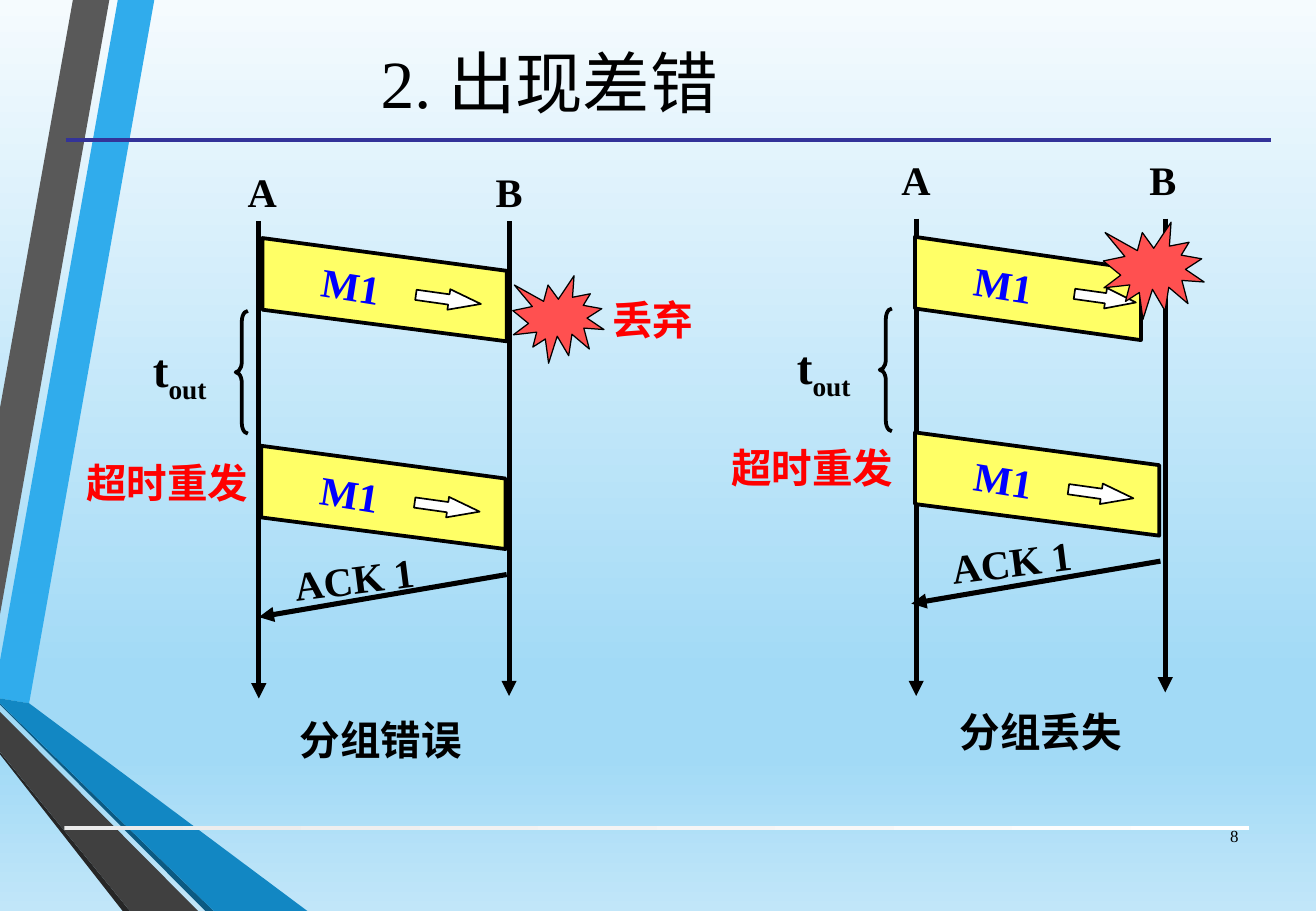
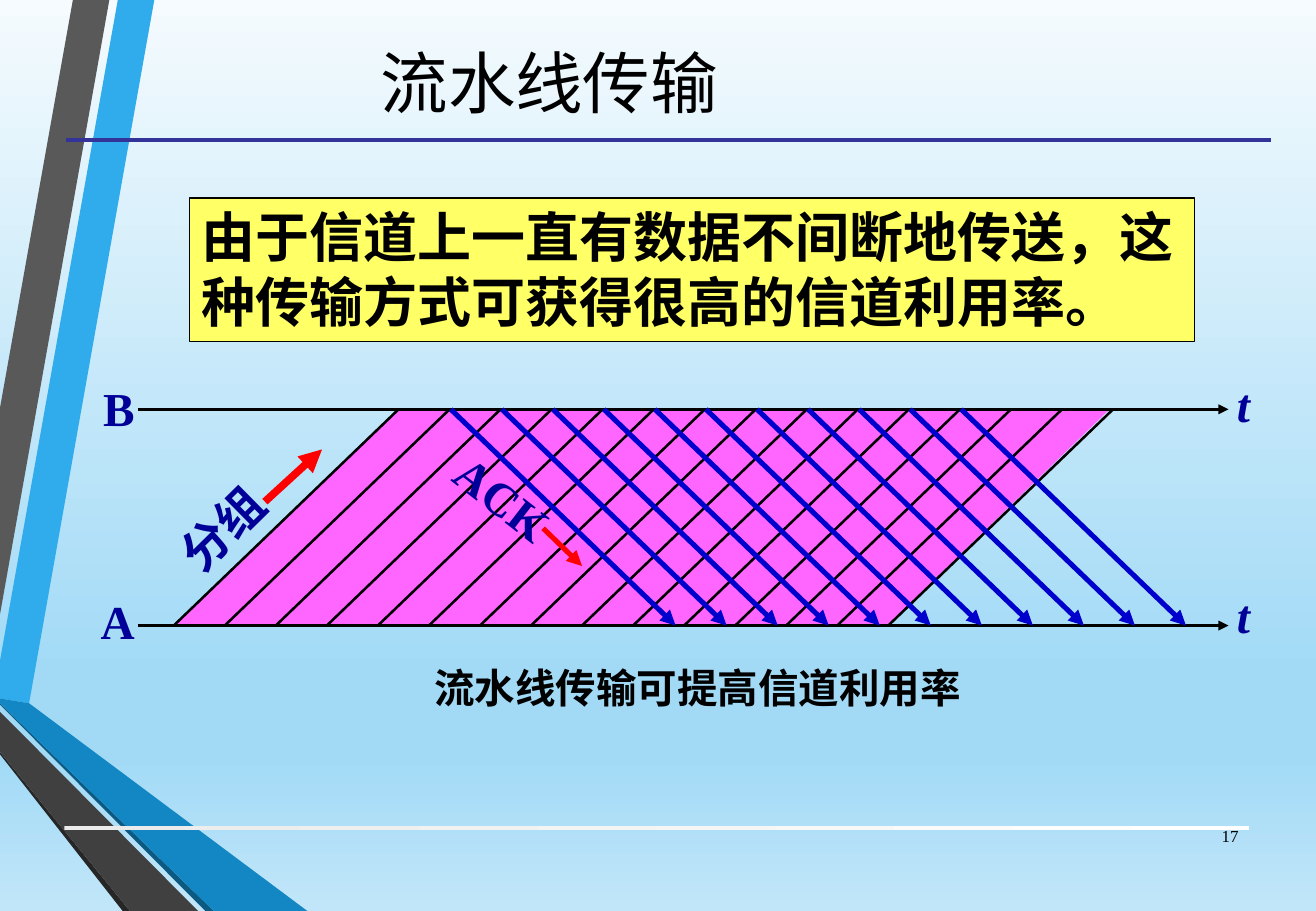
from copy import deepcopy
from pptx import Presentation
from pptx.dml.color import RGBColor
from pptx.enum.shapes import MSO_CONNECTOR, MSO_SHAPE
from pptx.enum.text import MSO_ANCHOR, MSO_AUTO_SIZE, PP_ALIGN
from pptx.oxml.ns import qn
from pptx.oxml.xmlchemy import OxmlElement
from pptx.util import Inches, Pt

FONT = "Times New Roman"
BLACK = RGBColor(0x00, 0x00, 0x00)
WHITE = RGBColor(0xFF, 0xFF, 0xFF)
PALE_GREY = RGBColor(0xEB, 0xEB, 0xEB)
RED = RGBColor(0xFF, 0x00, 0x00)
CORAL = RGBColor(0xFF, 0x50, 0x50)
YELLOW = RGBColor(0xFF, 0xFF, 0x66)
PINK = RGBColor(0xFF, 0x66, 0xFF)
BLUE = RGBColor(0x00, 0x00, 0xFF)
ACK_BLUE = RGBColor(0x00, 0x00, 0xCC)
NAVY = RGBColor(0x00, 0x00, 0x99)
RULE_BLUE = RGBColor(0x33, 0x33, 0x99)
SKY_STOPS = [(0, RGBColor(0xF5, 0xFB, 0xFE)), (0.74, RGBColor(0xA2, 0xDA, 0xF6)),
             (0.83, RGBColor(0xA2, 0xDA, 0xF6)), (1, RGBColor(0xC1, 0xE6, 0xF9))]
BANDS = [
    (RGBColor(0x30, 0xAC, 0xEC), [(0, 5.44), (0, 5.75), (0.24, 5.79), (1.27, 0), (0.97, 0)]),
    (RGBColor(0x59, 0x59, 0x59), [(0.9, 0), (0.6, 0), (0, 3.36), (0, 5.06)]),
    (RGBColor(0x26, 0x26, 0x26), [(0, 6.19), (0, 6.21), (1.01, 7.5), (1.07, 7.5)]),
    (RGBColor(0x0C, 0x5A, 0x82), [(0, 5.79), (0, 5.8), (1.69, 7.5), (1.76, 7.5)]),
    (RGBColor(0x12, 0x87, 0xC3), [(0, 5.79), (1.76, 7.5), (2.53, 7.5), (0.24, 5.79), (0, 5.75)]),
    (RGBColor(0x40, 0x40, 0x40), [(0, 6.19), (1.07, 7.5), (1.63, 7.5), (0, 5.86)]),
]


def draw(page, kind, place, fill=None, color=None, width=1, arrow=False):
    if kind == "line":
        ends = [Inches(value) for point in place for value in point]
        shape = page.shapes.add_connector(MSO_CONNECTOR.STRAIGHT, *ends)
    elif kind == "polygon":
        points = [(Inches(x), Inches(y)) for x, y in place]
        builder = page.shapes.build_freeform(*points[0])
        builder.add_line_segments(points[1:], close=True)
        shape = builder.convert_to_shape()
    else:
        shape = page.shapes.add_shape(kind, *[Inches(value) for value in place])
    if color is None:
        shape.line.fill.background()
    else:
        shape.line.color.rgb = color
        shape.line.width = Pt(width)
    if kind == "line":
        if arrow:
            tip = OxmlElement("a:tailEnd")
            tip.set("type", "triangle")
            shape.line._get_or_add_ln().append(tip)
        shape._element.spPr.append(OxmlElement("a:effectLst"))
        return shape
    shape.shadow.inherit = False
    if fill is None:
        shape.fill.background()
    else:
        shape.fill.solid()
        shape.fill.fore_color.rgb = fill
    return shape


def write(page, place, text, size=24, color=BLACK, bold=True, italic=False, turn=0,
          align=PP_ALIGN.LEFT, wrap=False, middle=False, subscript=""):
    box = page.shapes.add_textbox(*[Inches(value) for value in place])
    box.rotation = turn
    frame = box.text_frame
    frame.word_wrap = wrap
    if middle:
        frame.vertical_anchor = MSO_ANCHOR.MIDDLE
    else:
        frame.auto_size = MSO_AUTO_SIZE.SHAPE_TO_FIT_TEXT
    para = frame.paragraphs[0]
    para.alignment = align
    for part in filter(None, (text, subscript)):
        span = para.add_run()
        span.text = part
        span.font.name = FONT
        span.font.size = Pt(size)
        span.font.bold = bold
        span.font.italic = italic
        span.font.color.rgb = color
    if subscript:
        span.font._element.set("baseline", "-25000")
    return box


deck = Presentation()
deck.slide_width = Inches(10.83)
deck.slide_height = Inches(7.5)

sky = deck.slide_master.background.fill
sky.gradient()
sky.gradient_angle = 270
stop_list = deck.slide_master.element.find(".//" + qn("a:gsLst"))
for _ in SKY_STOPS[2:]:
    stop_list.append(deepcopy(stop_list[0]))
for stop, (position, color) in zip(sky.gradient_stops, SKY_STOPS):
    stop.position = position
    stop.color.rgb = color

pages = []
for title, number in [("2. 出现差错", "8"), ("流水线传输", "17")]:
    page = deck.slides.add_slide(deck.slide_layouts[6])
    for color, points in BANDS:
        draw(page, "polygon", points, color)
    bar = draw(page, MSO_SHAPE.RECTANGLE, (0.53, 6.8, 9.75, 0.03))
    bar.fill.gradient()
    bar.fill.gradient_angle = 0
    for stop, color in zip(bar.fill.gradient_stops, (PALE_GREY, WHITE)):
        stop.color.rgb = color
    draw(page, "line", [(0.54, 1.15), (10.46, 1.15)], color=RULE_BLUE, width=2.25)
    write(page, (0.43, 0.05, 8.18, 1.24), title, 40, bold=False,
          align=PP_ALIGN.CENTER, wrap=True, middle=True)
    write(page, (9.78, 6.68, 0.51, 0.4), number, 10, bold=False,
          align=PP_ALIGN.RIGHT, wrap=True, middle=True)
    pages.append(page)
errors, pipeline = pages

diagrams = [
    dict(top=1.82, stations=[("A", 2.13, 5.75, 1.94), ("B", 4.19, 5.73, 3.98)], label_top=1.33,
         packets=[(2.16, 1.96, 2.01, 1.26, 0.54), (2.15, 3.67, 2.01, 1.26, 0.54)],
         ack=[(4.17, 4.73), (2.13, 5.08)], ack_label=(2.32, 4.51), timer=(1.16, 2.56),
         retry=(0.61, 3.72), burst=(4.22, 2.27, 0.75, 0.72),
         caption="分组错误", caption_at=(2.37, 5.84)),
    dict(top=1.8, stations=[("A", 7.54, 5.73, 7.32), ("B", 9.59, 5.7, 9.36)], label_top=1.23,
         packets=[(7.53, 1.95, 1.86, 1.31, 0.51), (7.53, 3.56, 2.01, 1.26, 0.54)],
         ack=[(9.55, 4.62), (7.5, 4.97)], ack_label=(7.73, 4.37), timer=(6.46, 2.54),
         retry=(5.92, 3.6), burst=(9.08, 1.83, 0.83, 0.8),
         caption="分组丢失", caption_at=(7.8, 5.77)),
]
for diagram in diagrams:
    for name, x, bottom, label_left in diagram["stations"]:
        draw(errors, "line", [(x, diagram["top"]), (x, bottom)], color=BLACK, width=3, arrow=True)
        write(errors, (label_left, diagram["label_top"], 0.43, 0.5), name)
    for x, y, width, arrow_offset, arrow_width in diagram["packets"]:
        right = x + width
        draw(errors, "polygon", [(x, y), (right, y + 0.27), (right, y + 0.85), (x, y + 0.59)],
             YELLOW, BLACK, 2.25)
        arrow = draw(errors, MSO_SHAPE.RIGHT_ARROW,
                     (x + arrow_offset, y + 0.42, arrow_width, 0.17), WHITE, BLACK)
        arrow.rotation = 8
        arrow.adjustments[1] = arrow_width / 0.345
        write(errors, (x + 0.39, y + 0.14, 0.69, 0.5), "M1", color=BLUE, turn=9)
    draw(errors, "line", diagram["ack"], color=BLACK, width=3, arrow=True)
    write(errors, (*diagram["ack_label"], 1.21, 0.51), "ACK 1", turn=352.8)
    draw(errors, MSO_SHAPE.EXPLOSION1, diagram["burst"], CORAL, BLACK, 0.75)
    write(errors, (*diagram["retry"], 1.54, 0.5), "超时重发", color=RED)
    left, top = diagram["timer"]
    brace = draw(errors, MSO_SHAPE.LEFT_BRACE, (left + 0.78, top, 0.1, 1.01),
                 color=BLACK, width=2.25)
    brace.adjustments[0] = 0.869
    write(errors, (left, top + 0.19, 0.7, 0.57), "t", 28, subscript="out")
    write(errors, (*diagram["caption_at"], 1.56, 0.5), diagram["caption"])
write(errors, (4.93, 2.38, 0.88, 0.5), "丢弃", color=RED, align=PP_ALIGN.CENTER)

B_LINE, A_LINE = 3.37, 5.15
STEP, SLANT = 0.42, 1.85
draw(pipeline, "polygon", [(1.44, A_LINE), (3.28, B_LINE), (9.13, B_LINE), (7.3, A_LINE)], PINK)
for name, y, left, label_top, time_top in [("B", B_LINE, 0.75, 3.07, 3.04),
                                           ("A", A_LINE, 0.73, 4.83, 4.78)]:
    draw(pipeline, "line", [(1.14, y), (10.11, y)], color=BLACK, width=1.5, arrow=True)
    write(pipeline, (left, label_top, 0.48, 0.57), name, 28, NAVY)
    write(pipeline, (10.08, time_top, 0.31, 0.57), "t", 28, NAVY, italic=True)
for index in range(15):
    x = 1.43 + index * STEP
    draw(pipeline, "line", [(x, A_LINE), (x + SLANT, B_LINE)], color=BLACK, width=1.5)
for index in range(11):
    x = 3.71 + index * STEP
    draw(pipeline, "line", [(x, B_LINE), (x + SLANT, A_LINE)], color=ACK_BLUE, width=3, arrow=True)
write(pipeline, (1.34, 4.06, 0.99, 0.57), "分组", 28, NAVY, turn=315.3)
write(pipeline, (3.61, 3.82, 1.07, 0.57), "ACK", 28, NAVY, turn=37.8)
draw(pipeline, "line", [(2.18, 4.13), (2.65, 3.7)], color=RED, width=4.5, arrow=True)
draw(pipeline, "line", [(4.47, 4.35), (4.79, 4.66)], color=RED, width=3, arrow=True)

note = write(pipeline, (1.56, 1.63, 8.27, 1.18),
             "由于信道上一直有数据不间断地传送，这种传输方式可获得很高的信道利用率。", 32, wrap=True)
note.fill.solid()
note.fill.fore_color.rgb = YELLOW
note.line.color.rgb = BLACK
note.line.width = Pt(0.75)
write(pipeline, (2.15, 5.41, 7.18, 0.5), "流水线传输可提高信道利用率",
      align=PP_ALIGN.CENTER, wrap=True)

deck.save("out.pptx")
